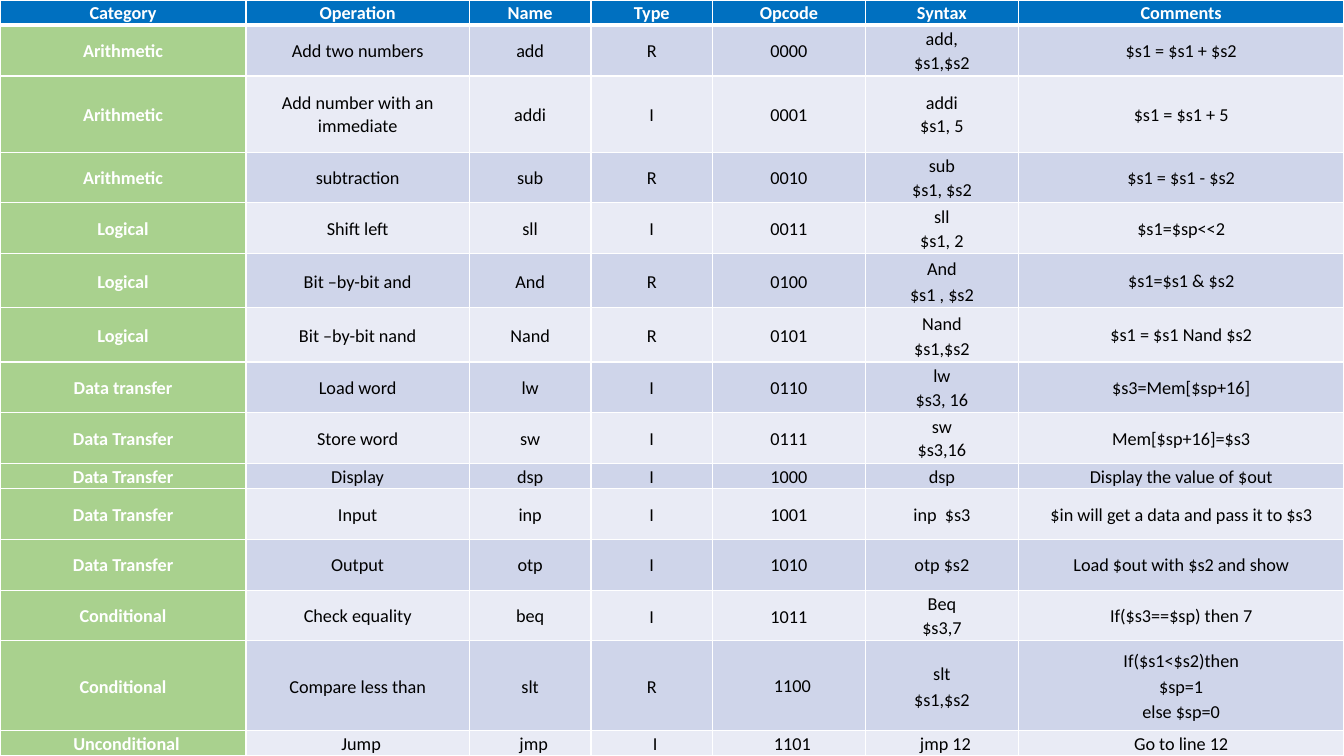
from dataclasses import dataclass

import lxml.etree
import pptx
import pptx.dml.color
import pptx.enum.text
import pptx.oxml.ns
import pptx.util

Pt = pptx.util.Pt

# Content: a line break inside a cell starts a new paragraph
HEADINGS = ("Category", "Operation", "Name", "Type", "Opcode", "Syntax", "Comments")
INSTRUCTIONS = [
    ("Arithmetic", "Add two numbers", "add", "R", "0000", "add,\n$s1,$s2", "$s1 = $s1 + $s2"),
    ("Arithmetic", "Add number with an immediate", "addi", "I", "0001", "addi\n$s1, 5", "$s1 = $s1 + 5"),
    ("Arithmetic", "subtraction", "sub", "R", "0010", "sub\n$s1, $s2", "$s1 = $s1 - $s2"),
    ("Logical", "Shift left", "sll", "I", "0011", "sll\n$s1, 2", "$s1=$sp<<2"),
    ("Logical", "Bit –by-bit and", "And", "R", "0100", "And\n$s1 , $s2", "$s1=$s1 & $s2"),
    ("Logical", "Bit –by-bit nand", "Nand", "R", "0101", "Nand\n$s1,$s2", "$s1 = $s1 Nand $s2"),
    ("Data transfer", "Load word", "lw", "I", "0110", "lw\n$s3, 16", "$s3=Mem[$sp+16]"),
    ("Data Transfer", "Store word", "sw", "I", "0111", "sw\n$s3,16", "Mem[$sp+16]=$s3"),
    ("Data Transfer", "Display", "dsp", "I", "1000", "dsp", "Display the value of $out"),
    ("Data Transfer", "Input", "inp", "I", "1001", "inp  $s3", "$in will get a data and pass it to $s3"),
    ("Data Transfer", "Output", "otp", "I", "1010", "otp $s2", "Load $out with $s2 and show"),
    ("Conditional", "Check equality", "beq", "I", "1011", "Beq\n$s3,7", "If($s3==$sp) then 7"),
    ("Conditional", "Compare less than", "slt", "R", "1100", "slt\n$s1,$s2",
     "If($s1<$s2)then\n$sp=1\nelse $sp=0"),
    ("Unconditional", "Jump", "jmp", "I", "1101", "jmp 12", "Go to line 12"),
]
ROWS = [HEADINGS] + INSTRUCTIONS


@dataclass(frozen=True)
class Theme:
    font: str = "Calibri"
    size: float = 13
    heading_fill: str = "0070C0"
    category_fill: str = "A9D18E"
    band_fills: tuple = ("E9EBF5", "CFD5EA")
    light: str = "FFFFFF"
    dark: str = "000000"
    thin: float = 1
    thick: float = 3
    tight: float = 1.07
    loose: float = 1.15
    inset: float = 5.4


THEME = Theme()

# Sizes in points
SLIDE_WIDTH, SLIDE_HEIGHT = 960, 540
COLUMN_WIDTHS = (175.7, 159.5, 87, 86.7, 109.3, 109.3, 232.5)
ONE_LINE, TWO_LINES = 18.1, 36.2
ROW_HEIGHTS = [TWO_LINES] * len(ROWS)
ROW_HEIGHTS[0] = ROW_HEIGHTS[9] = ROW_HEIGHTS[14] = ONE_LINE
ROW_HEIGHTS[2] = 54.4
ROW_HEIGHTS[5] = ROW_HEIGHTS[6] = 38.8
ROW_HEIGHTS[13] = 64

# Cells, as (row, column), that depart from tight spacing and no indent
LOOSE_CELLS = {(row, column) for row in (5, 6) for column in range(6)}
LOOSE_CELLS |= {(12, 3), (12, 4)}
LOOSE_CELLS |= {(13, column) for column in range(7) if column != 4}
INDENTS = {(14, column): (5, 0) for column in range(6)}
INDENTS |= {(13, 4): (5, 0), (5, 0): (36, -36)}


def rgb(value):
    return pptx.dml.color.RGBColor.from_string(value)


def draw_borders(cell, row):
    properties = cell._tc.get_or_add_tcPr()
    top = THEME.thick if row == 1 else THEME.thin
    bottom = THEME.thick if row == 0 else THEME.thin
    for side, width in (("L", THEME.thin), ("R", THEME.thin), ("T", top), ("B", bottom)):
        line = lxml.etree.SubElement(properties, pptx.oxml.ns.qn(f"a:ln{side}"), w=str(Pt(width)))
        fill = lxml.etree.SubElement(line, pptx.oxml.ns.qn("a:solidFill"))
        lxml.etree.SubElement(fill, pptx.oxml.ns.qn("a:srgbClr"), val=THEME.light)


def fill_color(row, column):
    if row == 0:
        return THEME.heading_fill
    return THEME.category_fill if column == 0 else THEME.band_fills[row % 2]


def format_cell(cell, text, row, column):
    cell.text = text
    cell.vertical_anchor = pptx.enum.text.MSO_ANCHOR.MIDDLE
    cell.margin_left = cell.margin_right = Pt(THEME.inset)
    cell.margin_top = cell.margin_bottom = Pt(0)
    draw_borders(cell, row)
    cell.fill.solid()
    cell.fill.fore_color.rgb = rgb(fill_color(row, column))

    is_label = row == 0 or column == 0
    for paragraph in cell.text_frame.paragraphs:
        paragraph.alignment = pptx.enum.text.PP_ALIGN.CENTER
        paragraph.line_spacing = THEME.loose if (row, column) in LOOSE_CELLS else THEME.tight
        paragraph.font.name = THEME.font
        paragraph.font.size = Pt(THEME.size)
        paragraph.font.bold = is_label
        paragraph.font.color.rgb = rgb(THEME.light if is_label else THEME.dark)
        if (row, column) in INDENTS:
            margin, first_line = INDENTS[row, column]
            properties = paragraph._p.get_or_add_pPr()
            properties.set("marL", str(Pt(margin)))
            properties.set("indent", str(Pt(first_line)))


# Slide
presentation = pptx.Presentation()
presentation.slide_width, presentation.slide_height = Pt(SLIDE_WIDTH), Pt(SLIDE_HEIGHT)
slide = presentation.slides.add_slide(presentation.slide_layouts.get_by_name("Blank"))

# Instruction table
instruction_table = slide.shapes.add_table(
    len(ROWS), len(HEADINGS), 0, 0, Pt(SLIDE_WIDTH), Pt(SLIDE_HEIGHT)
).table
for table_column, width in zip(instruction_table.columns, COLUMN_WIDTHS):
    table_column.width = Pt(width)
for table_row, height in zip(instruction_table.rows, ROW_HEIGHTS):
    table_row.height = Pt(height)
for row, texts in enumerate(ROWS):
    for column, text in enumerate(texts):
        format_cell(instruction_table.cell(row, column), text, row, column)

presentation.save("out.pptx")
